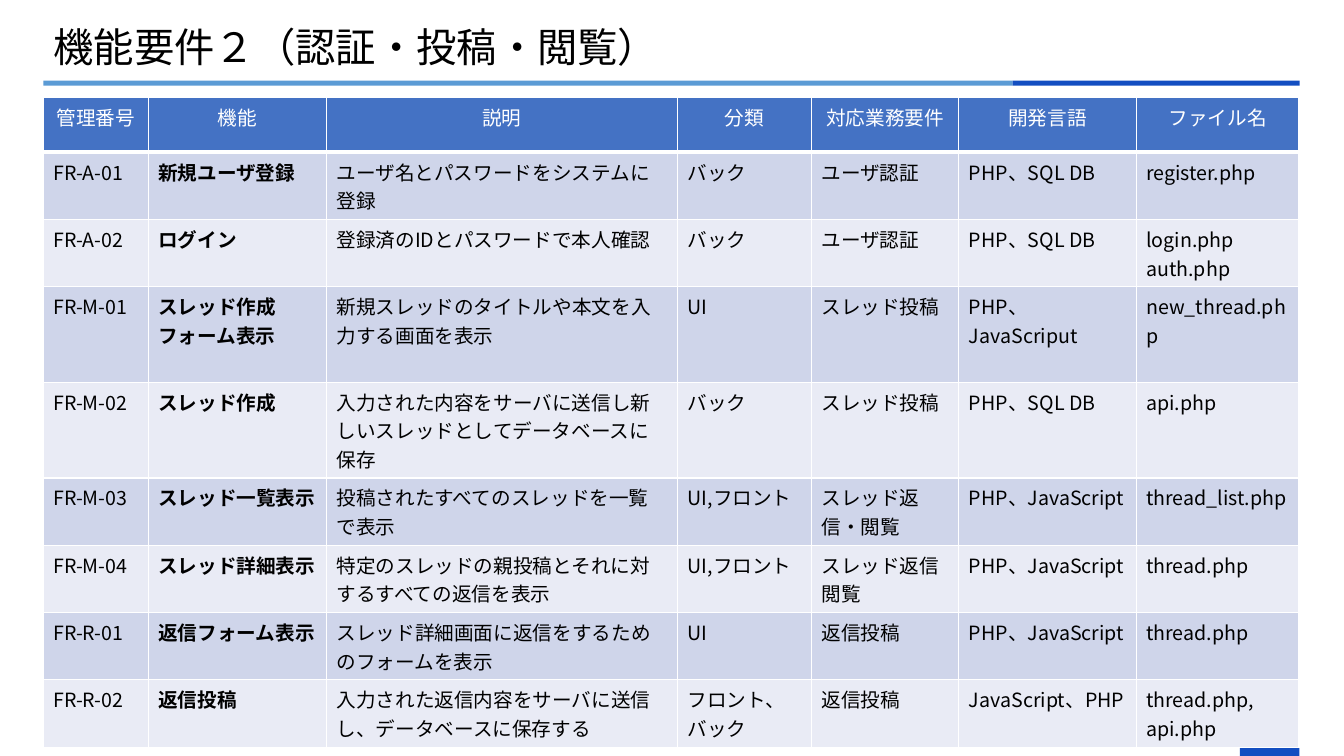
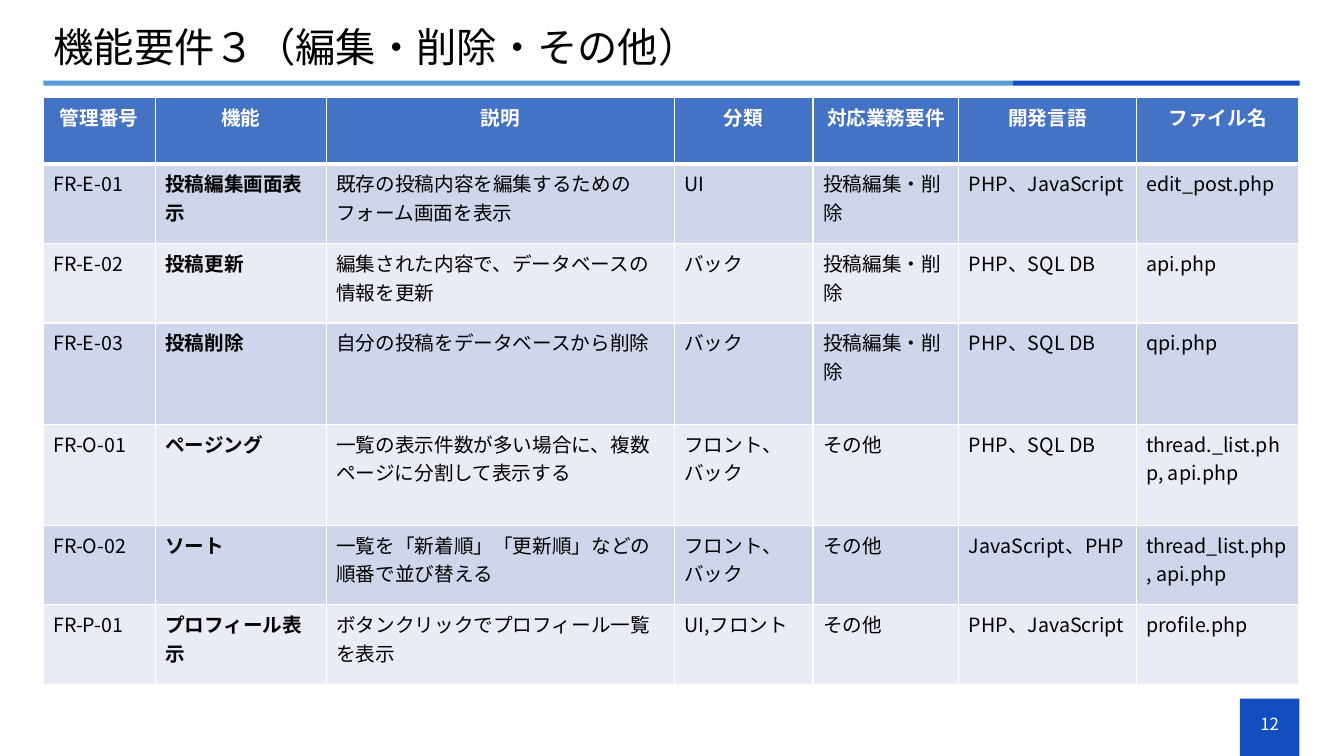
from lxml.etree import SubElement as Sub
from pptx import Presentation as Deck
from pptx.dml.color import RGBColor as Rgb
from pptx.enum.lang import MSO_LANGUAGE_ID as Lang
from pptx.enum.shapes import MSO_SHAPE as Kind
from pptx.enum.text import MSO_ANCHOR as Anchor, MSO_AUTO_SIZE as Fit, PP_ALIGN as Align
from pptx.oxml.ns import qn
from pptx.util import Pt

# Colours and font
WHITE = Rgb(0xFF, 0xFF, 0xFF)
BLACK = Rgb(0x00, 0x00, 0x00)
NAVY = Rgb(0x13, 0x4E, 0xC1)
SKY = Rgb(0x5B, 0x9B, 0xD5)
HEAD = Rgb(0x44, 0x72, 0xC4)
BANDS = Rgb(0xCF, 0xD5, 0xEA), Rgb(0xE9, 0xEB, 0xF5)
FONT = "Noto Sans CJK JP"

# Shared grid, in points
LEFT, WIDTH = 31, 897
BOX_X, BOX_W = 885.6, 42.6


def put(frame, text, size=14, color=BLACK, bold=False, align=Align.LEFT, space=None):
    """Fill a text frame, one paragraph per line of text."""
    frame.word_wrap = True
    for i, line in enumerate(text.split("\n")):
        para = frame.add_paragraph() if i else frame.paragraphs[0]
        para.alignment = align
        para.line_spacing = space
        run = para.add_run()
        run.text = line
        font = run.font
        font.name, font.size, font.bold = FONT, Pt(size), bold
        font.color.rgb = color
        font.language_id = Lang.JAPANESE
        Sub(run._r.get_or_add_rPr(), qn("a:ea"), typeface=FONT)


def edge(cell, side, width):
    """Draw one white border of a cell."""
    line = Sub(cell._tc.get_or_add_tcPr(), qn("a:ln" + side), w=str(Pt(width)))
    Sub(Sub(line, qn("a:solidFill")), qn("a:srgbClr"), val=str(WHITE))


class Pages:
    def __init__(self):
        self.deck = Deck()
        self.deck.slide_width, self.deck.slide_height = Pt(960), Pt(540)
        self.slide = None

    def bar(self, x, y, w, h, color):
        rect = self.slide.shapes.add_shape(Kind.RECTANGLE, Pt(x), Pt(y), Pt(w), Pt(h))
        rect.shadow.inherit = False
        rect.fill.solid()
        rect.fill.fore_color.rgb = color
        rect.line.fill.background()

    def page(self, title):
        """Start a slide with its title, rule and corner box."""
        self.slide = self.deck.slides.add_slide(self.deck.slide_layouts[5])
        self.bar(BOX_X, 499, BOX_W, 41, NAVY)
        self.bar(LEFT, 57.6, 692.4, 3.6, SKY)
        self.bar(723.4, 57.6, 205, 3.6, NAVY)
        head = self.slide.shapes.title
        head.left, head.top, head.width, head.height = Pt(LEFT), Pt(15), Pt(WIDTH), Pt(40)
        frame = head.text_frame
        frame.auto_size, frame.vertical_anchor = Fit.NONE, Anchor.MIDDLE
        put(frame, title, size=28.8, space=0.9)

    def number(self, text):
        box = self.slide.shapes.add_textbox(Pt(BOX_X), Pt(502.6), Pt(BOX_W), Pt(28.8))
        box.text_frame.vertical_anchor = Anchor.MIDDLE
        put(box.text_frame, text, size=12, color=WHITE, align=Align.CENTER)

    def table(self, rows, wide, high, bold):
        """Add a banded table; bold sets the weight of its header."""
        grid = self.slide.shapes.add_table(
            len(rows), len(wide), Pt(LEFT), Pt(69.8), Pt(sum(wide)), Pt(sum(high))).table
        for col, w in zip(grid.columns, wide):
            col.width = Pt(w)
        for r, (row, h) in enumerate(zip(rows, high)):
            grid.rows[r].height = Pt(h)
            for c, text in enumerate(row):
                cell = grid.cell(r, c)
                for side in "LRTB":
                    thick = (r, side) in ((0, "B"), (1, "T"))
                    edge(cell, side, 3 if thick else 1)
                cell.fill.solid()
                cell.fill.fore_color.rgb = BANDS[(r - 1) % 2] if r else HEAD
                if r:
                    put(cell.text_frame, text, bold=c == 1)
                else:
                    put(cell.text_frame, text, color=WHITE, bold=bold, align=Align.CENTER)


# Table content
NAMES = ("管理番号", "機能", "説明", "分類", "対応業務要件", "開発言語", "ファイル名")
DATA, SCRIPT, FRONT = "PHP、SQL DB", "PHP、JavaScript", "JavaScript、PHP"
BACK, BOTH, VIEW = "バック", "フロント、バック", "UI,フロント"
EDIT, OTHER = "投稿編集・削除", "その他"

POSTS = (
    NAMES,
    ("FR-A-01", "新規ユーザ登録", "ユーザ名とパスワードをシステムに登録",
     BACK, "ユーザ認証", DATA, "register.php"),
    ("FR-A-02", "ログイン", "登録済のIDとパスワードで本人確認",
     BACK, "ユーザ認証", DATA, "login.php\nauth.php"),
    ("FR-M-01", "スレッド作成フォーム表示", "新規スレッドのタイトルや本文を入力する画面を表示",
     "UI", "スレッド投稿", "PHP、JavaScriput", "new_thread.php"),
    ("FR-M-02", "スレッド作成", "入力された内容をサーバに送信し新しいスレッドとしてデータベースに保存",
     BACK, "スレッド投稿", DATA, "api.php"),
    ("FR-M-03", "スレッド一覧表示", "投稿されたすべてのスレッドを一覧で表示",
     VIEW, "スレッド返信・閲覧", SCRIPT, "thread_list.php"),
    ("FR-M-04", "スレッド詳細表示", "特定のスレッドの親投稿とそれに対するすべての返信を表示",
     VIEW, "スレッド返信閲覧", SCRIPT, "thread.php"),
    ("FR-R-01", "返信フォーム表示", "スレッド詳細画面に返信をするためのフォームを表示",
     "UI", "返信投稿", SCRIPT, "thread.php"),
    ("FR-R-02", "返信投稿", "入力された返信内容をサーバに送信し、データベースに保存する",
     BOTH, "返信投稿", FRONT, "thread.php,\napi.php"),
)

EDITS = (
    NAMES,
    ("FR-E-01", "投稿編集画面表示", "既存の投稿内容を編集するためのフォーム画面を表示",
     "UI", EDIT, SCRIPT, "edit_post.php"),
    ("FR-E-02", "投稿更新", "編集された内容で、データベースの情報を更新",
     BACK, EDIT, DATA, "api.php"),
    ("FR-E-03", "投稿削除", "自分の投稿をデータベースから削除",
     BACK, EDIT, DATA, "qpi.php"),
    ("FR-O-01", "ページング", "一覧の表示件数が多い場合に、複数ページに分割して表示する",
     BOTH, OTHER, DATA, "thread._list.php, api.php"),
    ("FR-O-02", "ソート", "一覧を「新着順」「更新順」などの順番で並び替える",
     BOTH, OTHER, FRONT, "thread_list.php, api.php"),
    ("FR-P-01", "プロフィール表示", "ボタンクリックでプロフィール一覧を表示",
     VIEW, OTHER, SCRIPT, "profile.php"),
)


def main():
    pages = Pages()

    # Sign-in, posting and viewing
    pages.page("機能要件２（認証・投稿・閲覧）")
    pages.table(POSTS, wide=(74.8, 127.4, 250.8, 95.6, 105.4, 126.6, 116.4),
                high=(39, 48, 48, 68.2, 68.2, 48, 48, 48, 48), bold=False)

    # Editing, deleting and the rest
    pages.page("機能要件３（編集・削除・その他）")
    pages.number("12")
    pages.table(EDITS, wide=(79.8, 122.2, 248.6, 99.2, 104.2, 126.6, 116.4),
                high=(47.4, 56.8, 56.8, 72.2, 72.2, 56.8, 56.8), bold=True)

    pages.deck.save("out.pptx")


if __name__ == "__main__":
    main()
